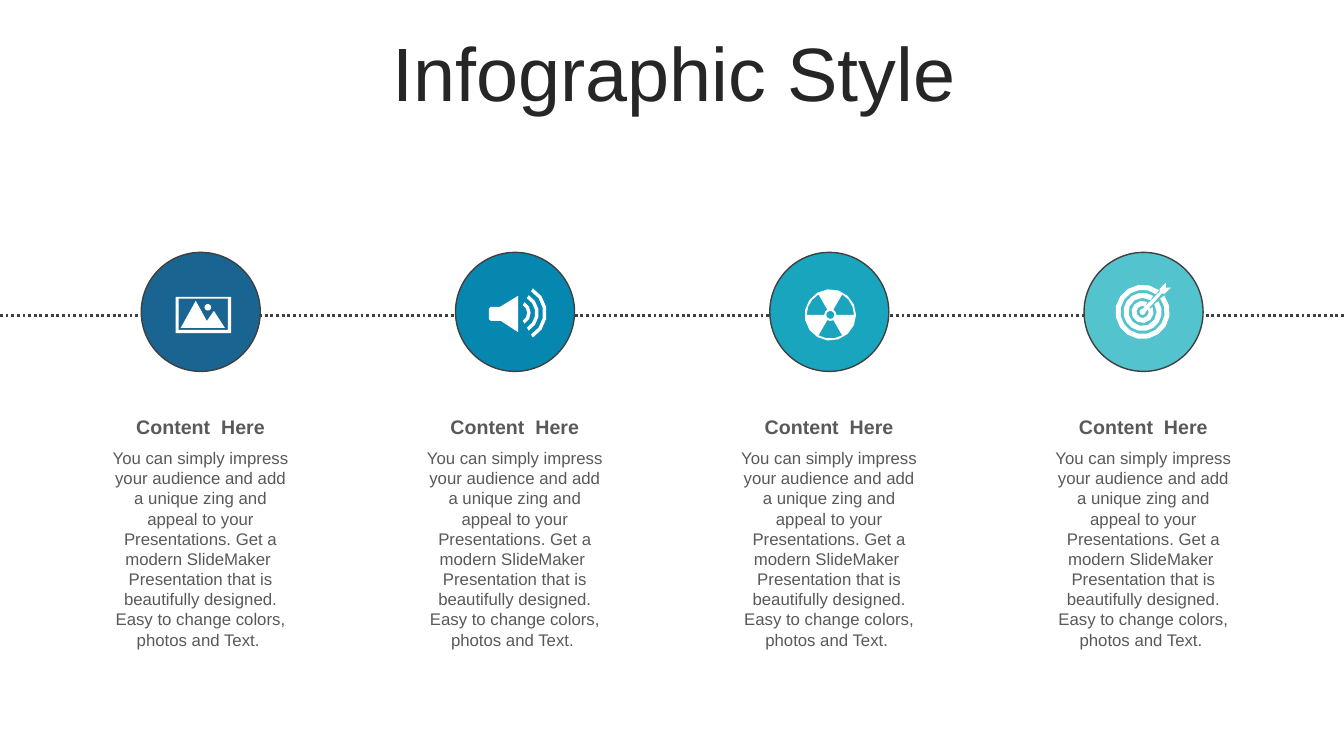
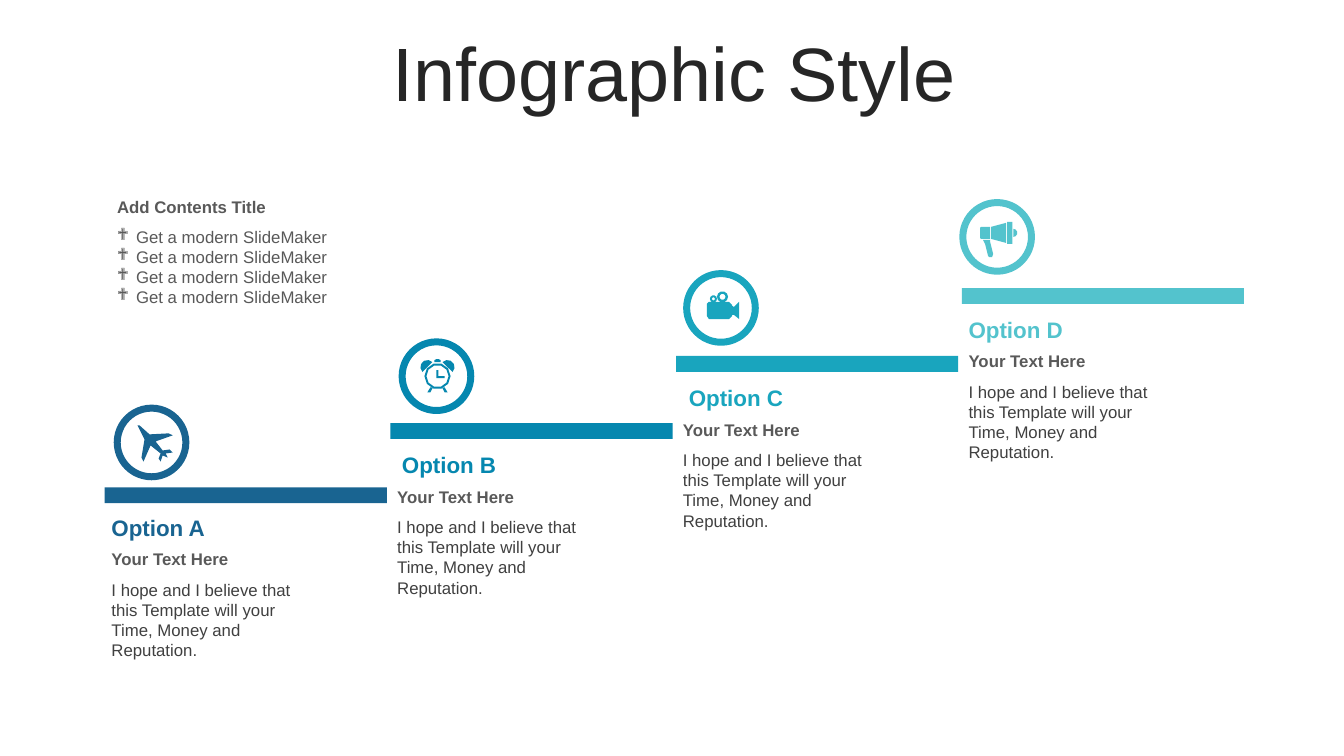
from dataclasses import dataclass
from math import asin, ceil, cos, degrees, radians, sin

from pptx import Presentation
from pptx.dml.color import RGBColor
from pptx.enum import dml, shapes, text
from pptx.oxml import ns, xmlchemy
from pptx.shapes.autoshape import Shape
from pptx.slide import Slide
from pptx.text.text import _Paragraph as Paragraph
from pptx.util import Cm, Pt

NAVY = RGBColor(0x19, 0x64, 0x91)
BLUE = RGBColor(0x05, 0x87, 0xAF)
TEAL = RGBColor(0x19, 0xA5, 0xBE)
AQUA = RGBColor(0x53, 0xC3, 0xCD)
WHITE = RGBColor(0xFF, 0xFF, 0xFF)
INK = RGBColor(0x26, 0x26, 0x26)
DARK = RGBColor(0x40, 0x40, 0x40)
GREY = RGBColor(0x59, 0x59, 0x59)

FONT = "Arial"
SLIDE_WIDTH = 33.87
SLIDE_HEIGHT = 19.05
ICON_UNIT = Cm(2.54) / 100

Point = tuple[float, float]
Contour = list[Point]
Icon = list[Contour]


@dataclass(frozen=True)
class Box:
    left: float
    top: float
    width: float
    height: float

    def lengths(self) -> tuple[Cm, Cm, Cm, Cm]:
        return Cm(self.left), Cm(self.top), Cm(self.width), Cm(self.height)


@dataclass(frozen=True)
class Milestone:
    color: RGBColor
    icon: Icon


@dataclass(frozen=True)
class Step:
    name: str
    color: RGBColor
    icon: Icon
    bar_top: float
    text_top: float
    badge_x: float
    badge_y: float
    name_indent: float = 0


def arc(x: float, y: float, radius: float, start: float = 0, end: float = 360) -> Contour:
    turn = end - start
    count = ceil(abs(turn) / (24 if radius > 15 else 36))
    angles = [radians(start + turn * i / count) for i in range(count + (turn != 360))]
    return [(x + radius * cos(a), y + radius * sin(a)) for a in angles]


def band(x: float, y: float, inner: float, outer: float, start: float, end: float) -> Contour:
    return arc(x, y, outer, start, end) + arc(x, y, inner, end, start)


def rectangle(left: float, top: float, right: float, bottom: float) -> Contour:
    return [(left, top), (right, top), (right, bottom), (left, bottom)]


def cut_ring(x: float, y: float, inner: float, outer: float) -> Contour:
    gap = degrees(asin(3.7 / outer))
    return band(x, y, inner, outer, gap - 45, 315 - gap)


PHOTO = [
    rectangle(-25, -15, 30, 21),
    rectangle(-22, -13, 27, 18),
    [(-5, -11), (6, 9), (13, -1), (24, 16), (-20, 16)],
    arc(7, -4.5, 3.3),
]
SPEAKER = [
    [(3, -16), (3, 20), (-14, 9), (-24, 9), (-26, 7), (-26, -3), (-24, -5), (-15, -5)],
    *[band(3, 1, outer - 3.5, outer, -59, 59) for outer in (12.5, 20.5, 28.5)],
]
RADIATION = [
    arc(1, 3, 25.5),
    arc(1, 3, 4),
    *[band(1, 3, 6, 23.5, start, start + 60) for start in (60, 180, 300)],
]
TARGET = [
    *[cut_ring(-1, 0, outer - 5, outer) for outer in (11, 19, 27)],
    arc(-1, 0, 3, 0, 270)
    + [(16, -20), (16, -23), (22, -29), (22, -24), (27, -24), (21, -18), (18, -18)],
]
PLANE = [
    [(21, 10), (14, 11), (16, 15), (11, 13), (9, 19), (7, 16), (9, 11), (-1, 3), (-8, 19),
     (-10, 15), (-7, -3), (-14, -17), (-12, -17), (-2, -8), (17, -9), (21, -7), (4, -1),
     (11, 8), (18, 7)],
]
CLOCK = [
    arc(1, 0, 13),
    arc(1, 0, 11),
    [(0, -6), (2, -6), (2, 0), (8, 0), (8, 2), (0, 2)],
    arc(-9, -9, 7, 135, 315),
    arc(11, -9, 7, 225, 405),
    [(-6, 11), (-9, 16), (-6, 16), (-4, 12)],
    [(8, 11), (11, 16), (8, 16), (6, 12)],
    [(-2, -14), (-2, -16), (0, -17), (2, -17), (4, -16), (4, -14)],
]
CAMERA = [
    [(-14, -4), (-12, -6), (8, -6), (11, -3), (11, -2), (13, -1), (18, -6), (18, 11),
     (13, 7), (11, 7), (11, 8), (8, 11), (-12, 11), (-14, 8)],
    arc(-7.5, -9, 3.5),
    arc(-7.5, -9, 1.5),
    arc(1.5, -11, 5.5),
    arc(1.5, -11, 3),
]
MEGAPHONE = [
    [(-16, -10), (-7, -10), (-7, 2), (-16, 2), (-17, 1), (-17, -9)],
    [(9, -14), (9, 6), (-6, 2), (-6, -10)],
    rectangle(10, -15, 15, 7),
    arc(16, -4, 4, -90, 90),
    [(-7, 3), (-7, 5), (-4, 17), (-5, 20), (-8, 20), (-9, 19), (-12, 7), (-14, 3)],
]

MILESTONES = [
    Milestone(NAVY, PHOTO),
    Milestone(BLUE, SPEAKER),
    Milestone(TEAL, RADIATION),
    Milestone(AQUA, TARGET),
]
MILESTONE_TEXT = (
    "You can simply impress your audience and add a unique zing and appeal to your "
    "Presentations. Get a modern SlideMaker  Presentation that is beautifully designed. "
    "Easy to change colors, photos and Text. "
)
STEPS = [
    Step("Option A", NAVY, PLANE, 12.28, 12.83, 3.82, 11.15),
    Step("Option B", BLUE, CLOCK, 10.66, 11.25, 11.0, 9.48, 0.12),
    Step("Option C", TEAL, CAMERA, 8.97, 9.56, 18.17, 7.76, 0.15),
    Step("Option D", AQUA, MEGAPHONE, 7.26, 7.84, 25.13, 5.97),
]
STEP_TEXT = "I hope and I believe that this Template will your Time, Money and Reputation."


def add_bullet(paragraph: Paragraph, symbol: str, indent: float) -> None:
    properties = paragraph._p.get_or_add_pPr()
    properties.set("marL", str(Cm(indent)))
    properties.set("indent", str(-Cm(indent)))
    for tag, name, value in (("a:buFont", "typeface", "Wingdings"), ("a:buChar", "char", symbol)):
        element = xmlchemy.OxmlElement(tag)
        element.set(name, value)
        properties.append(element)


def write_text(
    shape: Shape,
    content: str,
    *,
    size: float = 12,
    color: RGBColor = GREY,
    bold: bool = False,
    align: text.PP_ALIGN = text.PP_ALIGN.LEFT,
    bullet: str = "",
) -> None:
    frame = shape.text_frame
    frame.word_wrap = True
    frame.text = content
    for paragraph in frame.paragraphs:
        paragraph.alignment = align
        font = paragraph.runs[0].font
        font.name, font.size, font.bold = FONT, Pt(size), bold
        font.color.rgb = color
        if bullet:
            add_bullet(paragraph, bullet, 0.48)


def add_text(slide: Slide, box: Box, content: str, **style) -> None:
    shape = slide.shapes.add_textbox(*box.lengths())
    write_text(shape, content, **style)
    shape.text_frame.auto_size = text.MSO_AUTO_SIZE.SHAPE_TO_FIT_TEXT


def add_filled(
    slide: Slide,
    kind: shapes.MSO_SHAPE,
    box: Box,
    fill: RGBColor,
    line: RGBColor | None = None,
    line_width: float = 1,
) -> None:
    shape = slide.shapes.add_shape(kind, *box.lengths())
    shape.shadow.inherit = False
    shape.fill.solid()
    shape.fill.fore_color.rgb = fill
    if line is None:
        shape.line.fill.background()
    else:
        shape.line.color.rgb = line
        shape.line.width = Pt(line_width)


def add_badge(
    slide: Slide, x: float, y: float, diameter: float, icon: Icon, icon_color: RGBColor,
    fill: RGBColor, line: RGBColor, line_width: float,
) -> None:
    circle = Box(x - diameter / 2, y - diameter / 2, diameter, diameter)
    add_filled(slide, shapes.MSO_SHAPE.OVAL, circle, fill, line, line_width)
    contours = [[(px * ICON_UNIT, py * ICON_UNIT) for px, py in contour] for contour in icon]
    builder = slide.shapes.build_freeform(*contours[0][0])
    builder.add_line_segments(contours[0][1:])
    for contour in contours[1:]:
        builder.move_to(*contour[0])
        builder.add_line_segments(contour[1:])
    shape = builder.convert_to_shape(Cm(x), Cm(y))
    shape.shadow.inherit = False
    shape.fill.solid()
    shape.fill.fore_color.rgb = icon_color
    shape.line.fill.background()


def add_dotted_line(slide: Slide, y: float) -> None:
    line = slide.shapes.add_connector(
        shapes.MSO_CONNECTOR.STRAIGHT, Cm(0), Cm(y), Cm(SLIDE_WIDTH), Cm(y)
    )
    line.line.color.rgb = DARK
    line.line.width = Pt(2)
    line.line.dash_style = dml.MSO_LINE.ROUND_DOT
    line._element.find(ns.qn("p:spPr")).append(xmlchemy.OxmlElement("a:effectLst"))


def add_titled_slide(presentation: Presentation, title: str) -> Slide:
    slide = presentation.slides.add_slide(presentation.slide_layouts[5])
    shape = slide.shapes.title
    shape.left, shape.top, shape.width, shape.height = Box(0.91, 0.94, 32.16, 2.01).lengths()
    write_text(shape, title, size=54, color=INK, align=text.PP_ALIGN.CENTER)
    shape.text_frame.auto_size = text.MSO_AUTO_SIZE.NONE
    shape.text_frame.vertical_anchor = text.MSO_ANCHOR.MIDDLE
    paragraph = shape.text_frame.paragraphs[0]
    paragraph.line_spacing = 0.9
    paragraph.space_before = Pt(10)
    return slide


def build_timeline(presentation: Presentation) -> None:
    slide = add_titled_slide(presentation, "Infographic Style")
    add_dotted_line(slide, 7.95)
    center = text.PP_ALIGN.CENTER
    for index, milestone in enumerate(MILESTONES):
        x = 5.06 + 7.92 * index
        add_badge(slide, x, 7.86, 3, milestone.icon, WHITE, milestone.color, DARK, 1)
        add_text(slide, Box(x - 2.57, 10.33, 5.13, 0.86), "Content  Here",
                 size=14, bold=True, align=center)
        add_text(slide, Box(x - 2.53, 11.16, 5.05, 5.38), MILESTONE_TEXT, align=center)


def build_staircase(presentation: Presentation) -> None:
    slide = add_titled_slide(presentation, "Infographic Style")
    for index, step in enumerate(STEPS):
        left = 2.64 + 7.2 * index
        text_left = left - 0.08
        top = step.text_top
        bar = Box(left, step.bar_top, 7.11, 0.4)
        add_filled(slide, shapes.MSO_SHAPE.RECTANGLE, bar, step.color)
        add_badge(slide, step.badge_x, step.badge_y, 1.73, step.icon, step.color,
                  WHITE, step.color, 5)
        add_text(slide, Box(text_left + step.name_indent, top, 3.35, 0.94), step.name,
                 size=16, color=step.color, bold=True)
        add_text(slide, Box(text_left, top + 0.88, 5.28, 0.77), "Your Text Here", bold=True)
        add_text(slide, Box(text_left, top + 1.65, 5.33, 2.31), STEP_TEXT, color=DARK)
    add_text(slide, Box(2.7, 4.83, 6.53, 0.77), "Add Contents Title", bold=True)
    add_text(slide, Box(2.7, 5.58, 6.53, 2.31),
             "\n".join(["Get a modern SlideMaker"] * 4), bullet="❖")


def main() -> None:
    presentation = Presentation()
    presentation.slide_width = Cm(SLIDE_WIDTH)
    presentation.slide_height = Cm(SLIDE_HEIGHT)
    build_timeline(presentation)
    build_staircase(presentation)
    presentation.save("out.pptx")


if __name__ == "__main__":
    main()
